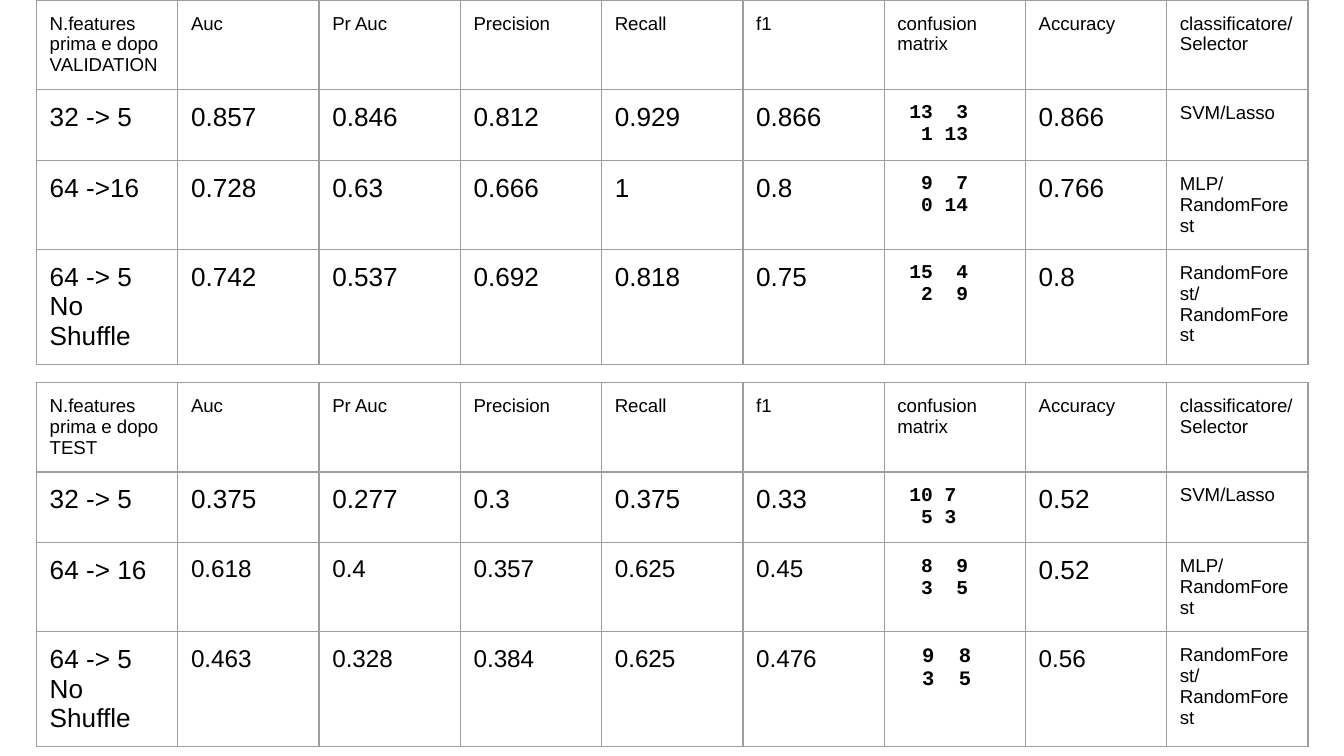
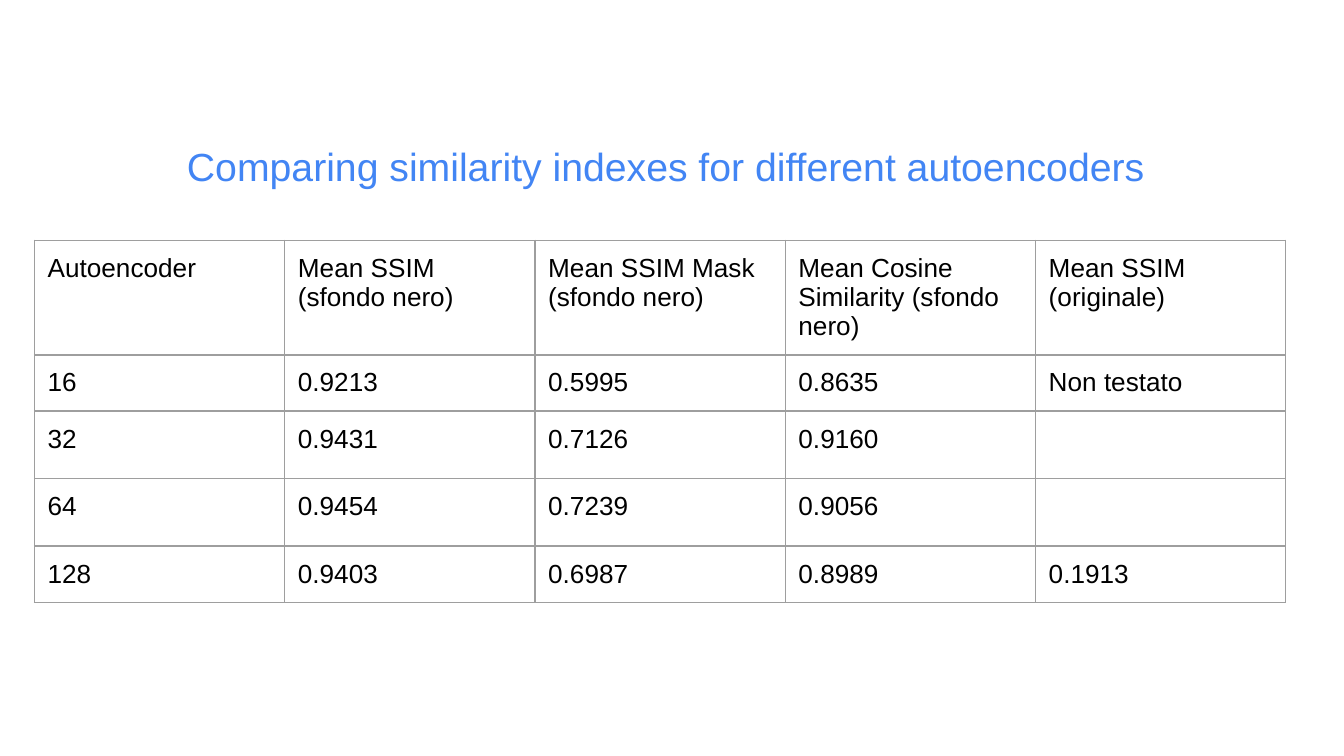
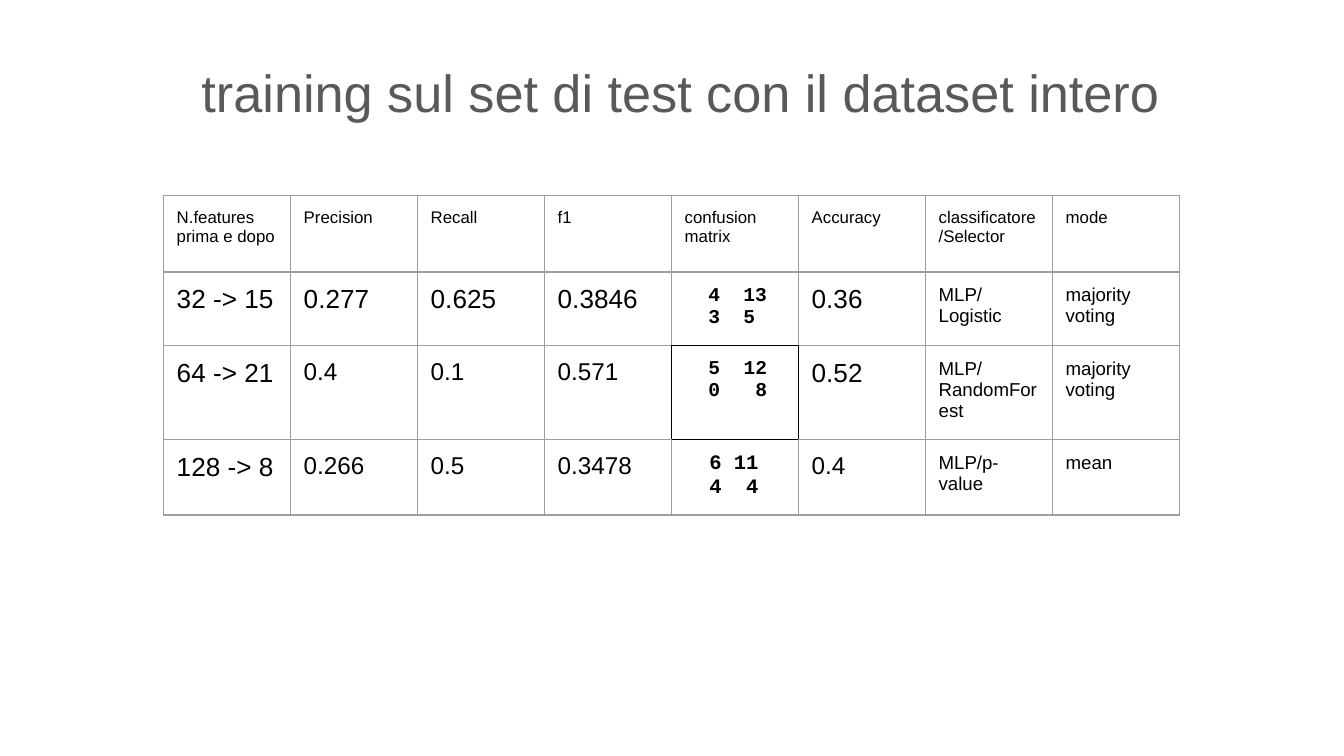
from dataclasses import dataclass

from lxml import etree
from pptx import Presentation
from pptx.dml.color import RGBColor
from pptx.enum.text import MSO_ANCHOR, PP_ALIGN
from pptx.oxml.ns import qn
from pptx.util import Cm, Pt

TOP, CENTER = MSO_ANCHOR.TOP, PP_ALIGN.CENTER
BLANK_LAYOUT = 6


@dataclass(frozen=True)
class Theme:
    font: str = "Arial"
    matrix_font: str = "Courier New"
    ink: str = "000000"
    grid: str = "9E9E9E"
    blue: str = "4285F4"
    grey: str = "595959"
    body: float = 14
    compact: float = 13
    note: float = 10
    small_note: float = 9
    matrix: float = 10.5
    large_matrix: float = 11
    title: float = 28
    subtitle: float = 21
    border: float = 0.75
    inset: float = 0.25


THEME = Theme()


@dataclass(frozen=True)
class Confusion:
    """Two lines of counts; the second column stops at a given character."""
    lines: tuple
    second_stop: int = 6
    second_align: str = "r"
    size: float = THEME.matrix

    @property
    def text(self):
        return "\n".join(f"\t{first}\t{second}" for first, second in self.lines)


@dataclass(frozen=True)
class Run:
    """One model: its scores, its confusion matrix and the notes after it."""
    features: str
    scores: tuple
    confusion: Confusion
    accuracy: str
    notes: tuple
    score_size: float = THEME.body
    accuracy_size: float = THEME.body

    def cells(self):
        return [(self.features, THEME.body),
                *((score, self.score_size) for score in self.scores),
                (self.confusion, self.confusion.size),
                (self.accuracy, self.accuracy_size),
                *((note, THEME.note) for note in self.notes)]


def style_text(frame, size, color=THEME.ink, font=THEME.font, bold=False):
    for paragraph in frame.paragraphs:
        for run in paragraph.runs:
            run.font.name, run.font.size, run.font.bold = font, Pt(size), bold
            run.font.color.rgb = RGBColor.from_string(color)


def set_insets(holder):
    holder.margin_left = holder.margin_right = Cm(THEME.inset)
    holder.margin_top = holder.margin_bottom = Cm(THEME.inset)


def add_heading(slide, text, box, size, color):
    heading = slide.shapes.add_textbox(*map(Cm, box))
    frame = heading.text_frame
    frame.word_wrap, frame.vertical_anchor = True, TOP
    set_insets(frame)
    frame.text = text
    frame.paragraphs[0].alignment = CENTER
    style_text(frame, size, color)


def add_tab_stops(paragraph, stops):
    tab_list = etree.SubElement(paragraph._p.get_or_add_pPr(), qn("a:tabLst"))
    for position, align in stops:
        etree.SubElement(tab_list, qn("a:tab"), pos=str(position), algn=align)


def fill_cell(cell, content, size):
    set_insets(cell)
    cell.vertical_anchor = TOP
    frame = cell.text_frame
    if not isinstance(content, Confusion):
        frame.text = content
        style_text(frame, size)
        return
    frame.text = content.text
    character = Pt(size * 0.6)
    for paragraph in frame.paragraphs:
        add_tab_stops(paragraph, [(3 * character, "r"),
                                  (content.second_stop * character, content.second_align)])
    style_text(frame, size, font=THEME.matrix_font, bold=True)


def draw_borders(cell, place, highlighted):
    """Draw the four sides, dark where they touch the highlighted cell."""
    row, column = place
    neighbours = {"a:lnL": (row, column - 1), "a:lnR": (row, column + 1),
                  "a:lnT": (row - 1, column), "a:lnB": (row + 1, column)}
    properties = cell._tc.get_or_add_tcPr()
    for side, neighbour in neighbours.items():
        color = THEME.ink if highlighted in (place, neighbour) else THEME.grid
        line = etree.SubElement(properties, qn(side), w=str(Pt(THEME.border)))
        fill = etree.SubElement(line, qn("a:solidFill"))
        etree.SubElement(fill, qn("a:srgbClr"), val=color)


def add_grid(slide, rows, origin, column_width, row_heights, highlighted=None):
    """Add a plain table; each cell is given as (content, type size)."""
    left, top = origin
    count = len(rows[0])
    table = slide.shapes.add_table(len(rows), count, Cm(left), Cm(top),
                                   Cm(column_width * count), Cm(sum(row_heights))).table
    table.first_row = table.horz_banding = False
    for column in table.columns:
        column.width = Cm(column_width)
    for row, height in zip(table.rows, row_heights):
        row.height = Cm(height)
    for r, cells in enumerate(rows):
        for c, (content, size) in enumerate(cells):
            cell = table.cell(r, c)
            fill_cell(cell, content, size)
            draw_borders(cell, (r, c), highlighted)
            cell.fill.background()


def run_rows(headers, header_size, runs):
    return [[(header, header_size) for header in headers], *(run.cells() for run in runs)]


def build_validation_and_test(slide):
    validation = [
        Run("32 -> 5", ("0.857", "0.846", "0.812", "0.929", "0.866"),
            Confusion(((13, 3), (1, 13))), "0.866", ("SVM/Lasso",)),
        Run("64 ->16", ("0.728", "0.63", "0.666", "1", "0.8"),
            Confusion(((9, 7), (0, 14))), "0.766", ("MLP/ RandomForest",)),
        Run("64 -> 5\nNo Shuffle", ("0.742", "0.537", "0.692", "0.818", "0.75"),
            Confusion(((15, 4), (2, 9))), "0.8", ("RandomForest/RandomForest",)),
    ]
    test = [
        Run("32 -> 5", ("0.375", "0.277", "0.3", "0.375", "0.33"),
            Confusion(((10, 7), (5, 3)), second_stop=5), "0.52", ("SVM/Lasso",)),
        Run("64 -> 16", ("0.618", "0.4", "0.357", "0.625", "0.45"),
            Confusion(((8, 9), (3, 5))), "0.52", ("MLP/ RandomForest",),
            score_size=THEME.compact),
        Run("64 -> 5\nNo Shuffle", ("0.463", "0.328", "0.384", "0.625", "0.476"),
            Confusion(((9, 8), (3, 5)), size=THEME.large_matrix), "0.56",
            ("RandomForest/RandomForest",),
            score_size=THEME.compact, accuracy_size=THEME.compact),
    ]
    for phase, runs, top in (("VALIDATION", validation, 0), ("TEST", test, 7.23)):
        headers = [f"N.features prima e dopo\n{phase}", "Auc", "Pr Auc", "Precision", "Recall",
                   "f1", "confusion matrix", "Accuracy", "classificatore/Selector"]
        add_grid(slide, run_rows(headers, THEME.note, runs), (0.69, top), 2.67,
                 (1.69, 1.34, 1.68, 2.17))


def build_similarity(slide):
    similarity = [
        ("Autoencoder", "Mean SSIM\n(sfondo nero)", "Mean SSIM Mask\n(sfondo nero)",
         "Mean Cosine Similarity (sfondo nero)", "Mean SSIM (originale)"),
        ("16", "0.9213", "0.5995", "0.8635", "Non testato"),
        ("32", "0.9431", "0.7126", "0.9160", ""),
        ("64", "0.9454", "0.7239", "0.9056", ""),
        ("128", "0.9403", "0.6987", "0.8989", "0.1913"),
    ]
    rows = [[(value, THEME.body) for value in values] for values in similarity]
    add_grid(slide, rows, (0.65, 4.54), 4.73, (2.17, 1.06, 1.22, 1.22, 1.06))
    add_heading(slide, "Comparing similarity indexes for different autoencoders",
                (2.64, 2.44, 19.89, 2.79), THEME.subtitle, THEME.blue)


def build_full_dataset(slide):
    add_heading(slide, "training sul set di test con il dataset intero",
                (1.02, 0.89, 23.67, 2.21), THEME.title, THEME.grey)
    headers = ["N.features prima e dopo", "Precision", "Recall", "f1", "confusion matrix",
               "Accuracy", "classificatore/Selector", "mode"]
    runs = [
        Run("32 -> 15", ("0.277", "0.625", "0.3846"),
            Confusion(((4, 13), (3, 5)), second_stop=5, second_align="l"), "0.36",
            ("MLP/Logistic", "majority voting")),
        Run("64 -> 21", ("0.4", "0.1", "0.571"),
            Confusion(((5, 12), (0, 8)), second_stop=7), "0.52",
            ("MLP/RandomForest", "majority voting"), score_size=THEME.compact),
        Run("128 -> 8", ("0.266", "0.5", "0.3478"),
            Confusion(((6, 11), (4, 4)), size=THEME.large_matrix), "0.4",
            ("MLP/p-value", "mean"),
            score_size=THEME.compact, accuracy_size=THEME.compact),
    ]
    add_grid(slide, run_rows(headers, THEME.small_note, runs), (3.09, 3.69), 2.4,
             (1.45, 1.33, 1.69, 1.39), highlighted=(2, 4))


def main():
    deck = Presentation()
    deck.slide_width, deck.slide_height = Cm(25.4), Cm(14.29)
    for build in (build_validation_and_test, build_similarity, build_full_dataset):
        build(deck.slides.add_slide(deck.slide_layouts[BLANK_LAYOUT]))
    deck.save("out.pptx")


if __name__ == "__main__":
    main()
